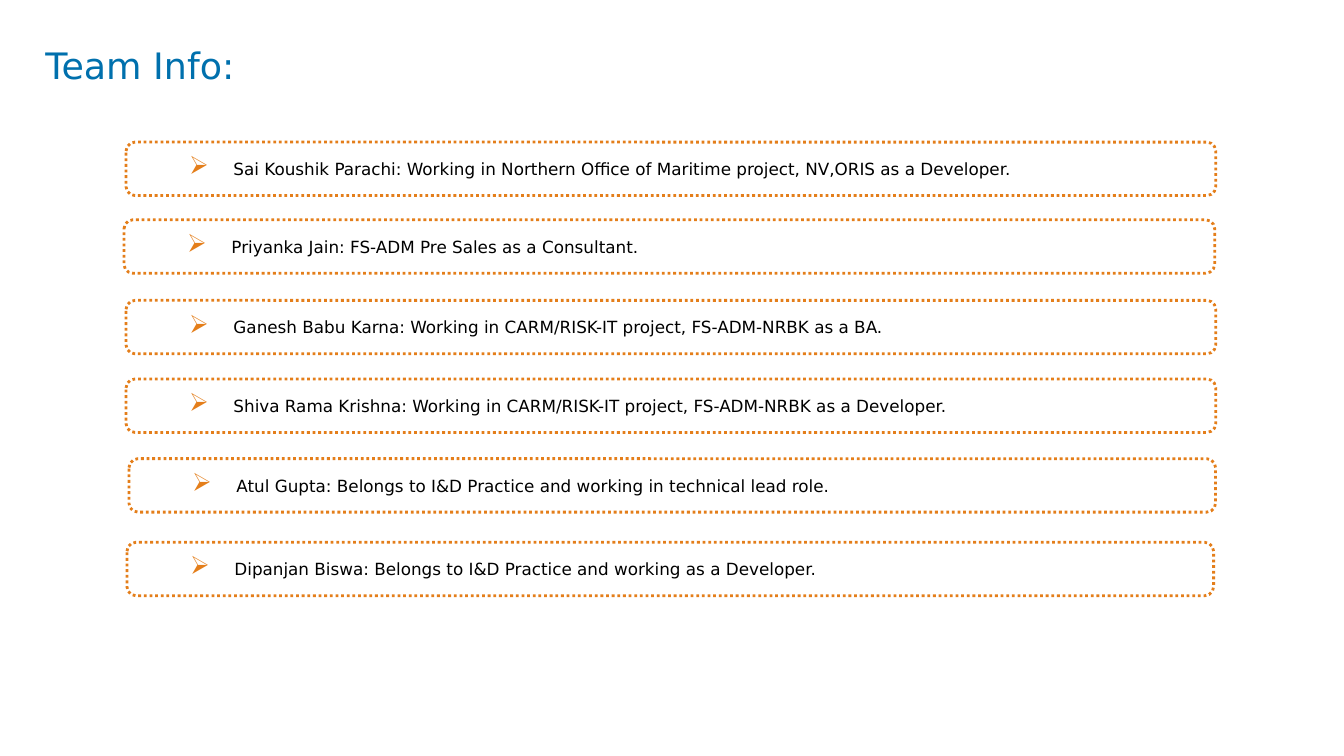
import pptx
import pptx.util
import pptx.dml.color
import pptx.enum.dml
import pptx.enum.shapes
import pptx.enum.text
import pptx.oxml.ns
import lxml.etree

BLUE = pptx.dml.color.RGBColor(0x00, 0x70, 0xAD)
ORANGE = pptx.dml.color.RGBColor(0xE4, 0x7E, 0x1A)
BLACK = pptx.dml.color.RGBColor(0x00, 0x00, 0x00)
WHITE = pptx.dml.color.RGBColor(0xFF, 0xFF, 0xFF)

# Left, top and width of each card in percent of the slide, then its text
MEMBERS = [
    (9.38, 18.8, 81.08, "Sai Koushik Parachi: Working in Northern Office of Maritime project, NV,ORIS as a Developer."),
    (9.23, 29.07, 81.15, "Priyanka Jain: FS-ADM Pre Sales as a Consultant."),
    (9.38, 39.73, 81.08, "Ganesh Babu Karna: Working in CARM/RISK-IT project, FS-ADM-NRBK as a BA."),
    (9.38, 50.13, 81.08, "Shiva Rama Krishna: Working in CARM/RISK-IT project, FS-ADM-NRBK as a Developer."),
    (9.6, 60.67, 80.85, "Atul Gupta: Belongs to I&D Practice and working in technical lead role."),
    (9.45, 71.73, 80.85, "Dipanjan Biswa: Belongs to I&D Practice and working as a Developer."),
]
CARD_HEIGHT = 7.07


class TeamSlide:
    """Holds the style and the current slide; lengths are percent of the slide."""

    font_name = "DejaVu Sans"
    title_size = 26
    body_size = 12

    def __init__(self, deck):
        self.deck = deck
        self.page = deck.slides.add_slide(deck.slide_layouts[5])

    def area(self, left, top, width, height):
        across, down = self.deck.slide_width / 100, self.deck.slide_height / 100
        return round(left * across), round(top * down), round(width * across), round(height * down)

    def set_font(self, para, size, color):
        para.font.name = self.font_name
        para.font.size = pptx.util.Pt(size)
        para.font.color.rgb = color

    def set_margins(self, frame, left, top, right, bottom):
        frame.margin_left = pptx.util.Inches(left)
        frame.margin_top = pptx.util.Inches(top)
        frame.margin_right = pptx.util.Inches(right)
        frame.margin_bottom = pptx.util.Inches(bottom)

    def add_bullet(self, para):
        properties = para._p.get_or_add_pPr()
        indent = pptx.util.Inches(0.44)
        properties.set("marL", str(indent))
        properties.set("indent", str(-indent))
        tag = pptx.oxml.ns.qn
        color = lxml.etree.SubElement(properties, tag("a:buClr"))
        lxml.etree.SubElement(color, tag("a:srgbClr"), val=str(ORANGE))
        lxml.etree.SubElement(properties, tag("a:buSzPct"), val="150000")
        lxml.etree.SubElement(properties, tag("a:buChar"), char="➢")

    def title(self, text, *place):
        box = self.page.shapes.title
        box.left, box.top, box.width, box.height = self.area(*place)
        frame = box.text_frame
        frame.text = text
        frame.auto_size = pptx.enum.text.MSO_AUTO_SIZE.NONE
        frame.vertical_anchor = pptx.enum.text.MSO_ANCHOR.TOP
        self.set_margins(frame, 0, 0, 0, 0)
        para = frame.paragraphs[0]
        para.alignment = pptx.enum.text.PP_ALIGN.LEFT
        para.line_spacing = pptx.util.Pt(30)
        self.set_font(para, self.title_size, BLUE)

    def card(self, text, *place):
        card = self.page.shapes.add_shape(
            pptx.enum.shapes.MSO_SHAPE.ROUNDED_RECTANGLE, *self.area(*place))
        card.shadow.inherit = False
        card.fill.solid()
        card.fill.fore_color.rgb = WHITE
        card.line.color.rgb = ORANGE
        card.line.width = pptx.util.Pt(2)
        card.line.dash_style = pptx.enum.dml.MSO_LINE.ROUND_DOT
        frame = card.text_frame
        frame.text = text
        frame.word_wrap = True
        frame.vertical_anchor = pptx.enum.text.MSO_ANCHOR.MIDDLE
        self.set_margins(frame, 0.6, 0.05, 0.1, 0.05)
        para = frame.paragraphs[0]
        para.alignment = pptx.enum.text.PP_ALIGN.JUSTIFY
        self.add_bullet(para)
        self.set_font(para, self.body_size, BLACK)


def main():
    deck = pptx.Presentation()
    deck.slide_width = pptx.util.Inches(13.33)
    deck.slide_height = pptx.util.Inches(7.5)
    slide = TeamSlide(deck)

    # Heading
    slide.title("Team Info:", 3.38, 5.87, 89.78, 12.53)

    # One card per team member
    for left, top, width, text in MEMBERS:
        slide.card(text, left, top, width, CARD_HEIGHT)

    deck.save("out.pptx")


if __name__ == "__main__":
    main()
